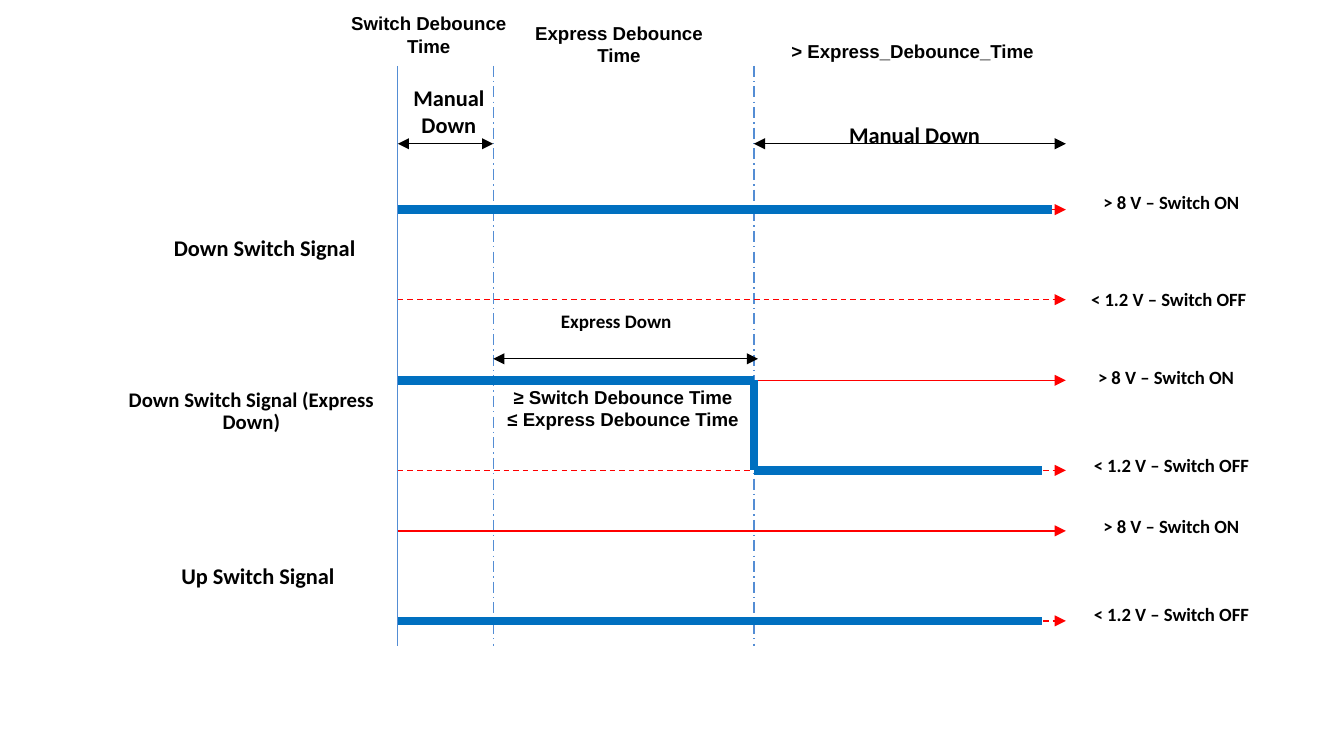
from lxml import etree
from pptx import Presentation
from pptx.dml.color import RGBColor
from pptx.enum.dml import MSO_LINE
from pptx.enum.shapes import MSO_CONNECTOR
from pptx.enum.text import PP_ALIGN
from pptx.oxml.ns import qn
from pptx.util import Inches, Pt

BLACK = RGBColor(0x00, 0x00, 0x00)
RED = RGBColor(0xFF, 0x00, 0x00)
SIGNAL_BLUE = RGBColor(0x00, 0x70, 0xC0)
GUIDE_BLUE = RGBColor(0x54, 0x8D, 0xD4)
STRAIGHT = MSO_CONNECTOR.STRAIGHT
DASH = MSO_LINE.DASH
DASH_DOT = MSO_LINE.LONG_DASH_DOT
CENTER, LEFT = PP_ALIGN.CENTER, PP_ALIGN.LEFT

prs = Presentation()
prs.slide_width = Inches(10)
prs.slide_height = Inches(10 * 9 / 16)
s = prs.slides.add_slide(prs.slide_layouts[6])


def add_line(x1, y1, x2, y2, color, width=0.75, dash=None, ends=()):
    """Draw a line; ends names the arrowheads, "headEnd" and/or "tailEnd"."""
    line = s.shapes.add_connector(STRAIGHT, Inches(x1), Inches(y1), Inches(x2), Inches(y2))
    line.line.color.rgb = color
    line.line.width = Pt(width)
    if dash:
        line.line.dash_style = dash
    sp_pr = line._element.spPr
    for end in ends:
        etree.SubElement(sp_pr.find(qn("a:ln")), qn("a:" + end), type="triangle")
    etree.SubElement(sp_pr, qn("a:effectLst"))


def add_text(x, y, w, h, text, size, font="Calibri", align=CENTER, spacing=None):
    tf = s.shapes.add_textbox(Inches(x), Inches(y), Inches(w), Inches(h)).text_frame
    tf.word_wrap = True
    tf.text = text
    for p in tf.paragraphs:
        p.alignment = align
        if spacing:
            p.line_spacing = spacing
        for r in p.runs:
            r.font.name = font
            r.font.size = Pt(size)
            r.font.bold = True
            r.font.color.rgb = BLACK


# Time axis
START, SWITCH_TIME, EXPRESS_TIME, END = 2.96, 3.67, 5.61, 7.93
for x, dash in [(START, None), (SWITCH_TIME, DASH_DOT), (EXPRESS_TIME, DASH_DOT)]:
    add_line(x, 0.49, x, 4.81, GUIDE_BLUE, dash=dash)

# On and off levels of the three signals
DOWN_ON, EXPRESS_ON, UP_ON = 1.56, 2.83, 3.95
LEVEL_GAP = 0.67
EXPRESS_OFF, UP_OFF = EXPRESS_ON + LEVEL_GAP, UP_ON + LEVEL_GAP
for on in (DOWN_ON, EXPRESS_ON, UP_ON):
    add_line(START, on, END, on, RED, ends=["tailEnd"])
    add_line(START, on + LEVEL_GAP, END, on + LEVEL_GAP, RED, dash=DASH, ends=["tailEnd"])

# Signal traces
for x1, y1, x2, y2 in [
    (START, DOWN_ON, 7.83, DOWN_ON),
    (START, EXPRESS_ON, EXPRESS_TIME, EXPRESS_ON),
    (EXPRESS_TIME, EXPRESS_ON, EXPRESS_TIME, EXPRESS_OFF),
    (EXPRESS_TIME, EXPRESS_OFF, 7.75, EXPRESS_OFF),
    (START, UP_OFF, 7.75, UP_OFF),
]:
    add_line(x1, y1, x2, y2, SIGNAL_BLUE, width=4.5)

# Time spans
for x1, x2, y in [
    (START, SWITCH_TIME, 1.07),
    (SWITCH_TIME, EXPRESS_TIME + 0.03, 2.67),
    (EXPRESS_TIME, END, 1.07),
]:
    add_line(x1, y, x2, y, BLACK, ends=["headEnd", "tailEnd"])

# Signal names
add_text(1.03, 1.69, 1.88, 0.3, "Down Switch Signal", 12)
add_text(0.83, 2.85, 2.08, 0.49, "Down Switch Signal (Express Down)", 11.1, spacing=0.9)
add_text(0.93, 4.13, 1.98, 0.32, "Up Switch Signal", 12)

# Level labels
ON_TEXT, OFF_TEXT = "> 8 V – Switch ON", "< 1.2 V – Switch OFF"
for x, y, w, text in [
    (7.93, 1.37, 1.57, ON_TEXT),
    (7.89, 2.09, 1.61, OFF_TEXT),
    (7.93, 2.67, 1.49, ON_TEXT),
    (7.93, 3.33, 1.57, OFF_TEXT),
    (7.93, 3.78, 1.57, ON_TEXT),
    (7.93, 4.44, 1.57, OFF_TEXT),
]:
    add_text(x, y, w, 0.36, text, 10)

# Span labels
add_text(2.77, 0.58, 1.14, 0.53, "Manual Down", 12)
add_text(6.18, 0.85, 1.25, 0.34, "Manual Down", 12)
add_text(3.96, 2.27, 1.25, 0.27, "Express Down", 10.2, spacing=0.9)
add_text(3.67, 2.82, 1.93, 0.69, "≥ Switch Debounce Time\n≤ Express Debounce Time", 10, "Arial")

# Time headings
add_text(2.42, 0.04, 1.54, 0.44, "Switch Debounce Time", 10, "Arial")
add_text(3.76, 0.11, 1.69, 0.44, "Express Debounce Time", 10, "Arial")
add_text(5.79, 0.25, 2.14, 0.32, "> Express_Debounce_Time", 10, "Arial", LEFT)

prs.save("out.pptx")
